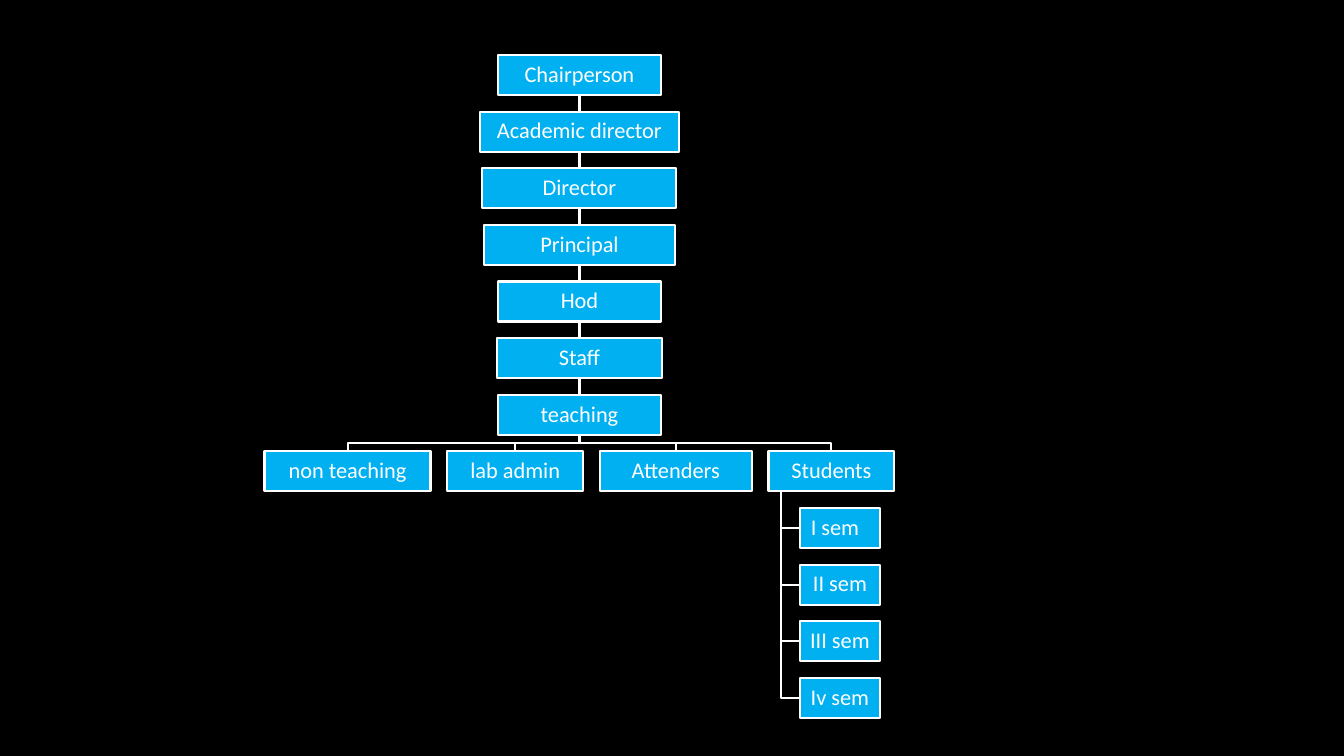
from lxml.etree import SubElement
from pptx import Presentation
from pptx.dml.color import RGBColor
from pptx.enum.shapes import MSO_CONNECTOR, MSO_SHAPE
from pptx.enum.text import MSO_ANCHOR, PP_ALIGN
from pptx.oxml.ns import qn
from pptx.util import Pt

PX = 12192000 / 1344
BLACK = RGBColor(0x00, 0x00, 0x00)
WHITE = RGBColor(0xFF, 0xFF, 0xFF)
BLUE = RGBColor(0x00, 0xB0, 0xF0)

BOX_HEIGHT = 40
CHAIN = [("Chairperson", 163), ("Academic director", 199), ("Director", 194),
         ("Principal", 191), ("Hod", 163), ("Staff", 165), ("teaching", 163)]
GROUPS = [("non teaching", 166), ("lab admin", 136), ("Attenders", 152), ("Students", 126)]
SEMESTERS = ["I sem", "II sem", "III sem", "Iv sem"]
SEMESTER_WIDTH = 80
ROWS = len(CHAIN) + 1 + len(SEMESTERS)

FRAME_FORMAT = {"word_wrap": True, "vertical_anchor": MSO_ANCHOR.MIDDLE,
                "margin_left": PX, "margin_top": PX, "margin_right": PX, "margin_bottom": PX}
PARAGRAPH_FORMAT = {"alignment": PP_ALIGN.CENTER, "line_spacing": 0.9}
FONT_FORMAT = {"name": "Calibri", "size": Pt(16)}


def emu(pixels):
    return round(pixels * PX)


def apply_format(target, values):
    for name, value in values.items():
        setattr(target, name, round(value) if name.startswith("margin") else value)


def style_line(line):
    line.color.rgb = WHITE
    line.width = Pt(1.5)


def add_box(slide, text, left, top, width, extra_right=0):
    """Add a labelled box; extra_right widens its right inset, in px."""
    box = slide.shapes.add_shape(MSO_SHAPE.RECTANGLE, emu(left), emu(top), emu(width), emu(BOX_HEIGHT))
    box.shadow.inherit = False
    box.fill.solid()
    box.fill.fore_color.rgb = BLUE
    style_line(box.line)
    frame = box.text_frame
    apply_format(frame, FRAME_FORMAT | {"margin_right": PX * (1 + extra_right)})
    paragraph = frame.paragraphs[0]
    apply_format(paragraph, PARAGRAPH_FORMAT)
    run = paragraph.add_run()
    run.text = text
    apply_format(run.font, FONT_FORMAT)
    run.font.color.rgb = WHITE
    return box


def join_boxes(slide, upper, lower):
    connector = slide.shapes.add_connector(MSO_CONNECTOR.STRAIGHT, 0, 0, 0, 0)
    connector.begin_connect(upper, 2)
    connector.end_connect(lower, 0)
    style_line(connector.line)
    SubElement(connector._element.spPr, qn("a:effectLst"))


def add_bent_line(slide, points):
    start, *others = [(emu(x), emu(y)) for x, y in points]
    builder = slide.shapes.build_freeform(*start)
    builder.add_line_segments(others, close=False)
    line = builder.convert_to_shape()
    line.shadow.inherit = False
    line.fill.background()
    style_line(line.line)


def add_chain(slide, center, top, pitch):
    previous = None
    for row, (text, width) in enumerate(CHAIN):
        box = add_box(slide, text, center - width / 2, top + row * pitch, width)
        if previous is not None:
            join_boxes(slide, previous, box)
        previous = box


def add_groups(slide, center, top, gap):
    """Add the row of groups under the chain and return the last one's left and width."""
    left = center - (sum(width for _, width in GROUPS) + gap * (len(GROUPS) - 1)) / 2
    for text, width in GROUPS:
        middle, bend = left + width / 2, top - gap / 2
        add_bent_line(slide, [(center, top - gap), (center, bend), (middle, bend), (middle, top)])
        add_box(slide, text, left, top, width)
        last_left = left
        left += width + gap
    return last_left, width


def add_semesters(slide, parent_left, parent_width, parent_top, pitch):
    stem, left = parent_left + parent_width / 10, parent_left + parent_width / 4
    for row, text in enumerate(SEMESTERS, start=1):
        top = parent_top + row * pitch
        middle = top + BOX_HEIGHT / 2
        add_bent_line(slide, [(stem, parent_top + BOX_HEIGHT), (stem, middle), (left, middle)])
        add_box(slide, text, left, top, SEMESTER_WIDTH, extra_right=10 if row == 1 else 0)


def add_organisation_chart(slide, left, top, width, height):
    pitch = (height - BOX_HEIGHT) / (ROWS - 1)
    center = left + width / 2
    groups_top = top + len(CHAIN) * pitch
    add_chain(slide, center, top, pitch)
    students_left, students_width = add_groups(slide, center, groups_top, pitch - BOX_HEIGHT)
    add_semesters(slide, students_left, students_width, groups_top, pitch)


def main():
    presentation = Presentation()
    presentation.slide_width, presentation.slide_height = emu(1344), emu(756)
    slide = presentation.slides.add_slide(presentation.slide_layouts[6])
    slide.background.fill.solid()
    slide.background.fill.fore_color.rgb = BLACK
    add_organisation_chart(slide, left=264, top=55, width=631, height=663)
    presentation.save("out.pptx")


if __name__ == "__main__":
    main()
